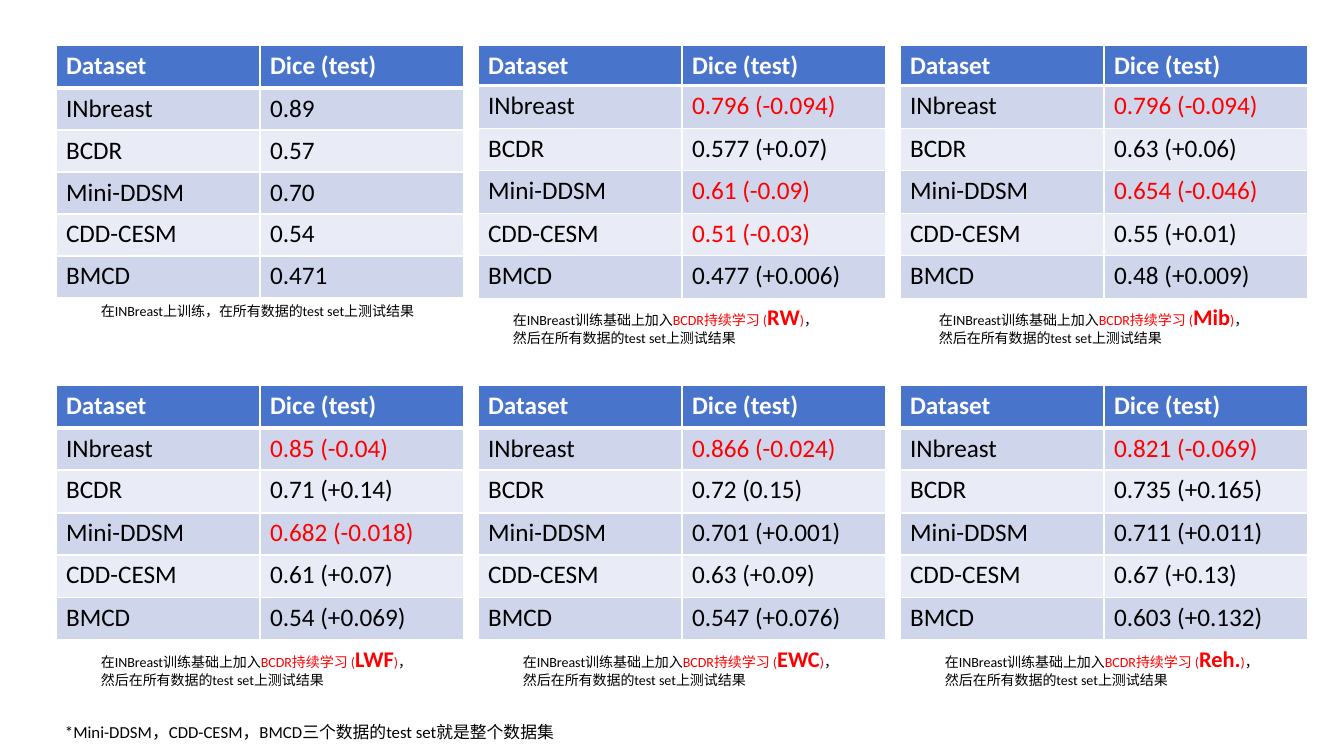
import pptx
import pptx.dml.color
import pptx.enum.text
import pptx.oxml.ns
import pptx.util
from lxml import etree

COLORS = {
    "header": "4874CB",
    "odd_row": "CFD6EC",
    "even_row": "E9EBF6",
    "white": "FFFFFF",
    "black": "000000",
    "red": "FF0000",
}
DATASETS = ["INbreast", "BCDR", "Mini-DDSM", "CDD-CESM", "BMCD"]

TABLE_STEP = 422
TABLE_LEFT = 56
COLUMN_WIDTH = 204
BASELINE_ROWS = [43, 42, 42, 42, 42, 42]
UPPER_ROWS = [40, 43, 42, 43, 42, 43]
LOWER_ROWS = [43, 42, 43, 42, 43, 42]

# Each panel: column, table top, row heights, method, caption left, scores
PANELS = [
    (0, 45, BASELINE_ROWS, None, 91,
     ["0.89", "0.57", "0.70", "0.54", "0.471"]),
    (1, 45, UPPER_ROWS, "RW", 503,
     ["0.796 (-0.094)", "0.577 (+0.07)", "0.61 (-0.09)", "0.51 (-0.03)", "0.477 (+0.006)"]),
    (2, 45, UPPER_ROWS, "Mib", 929,
     ["0.796 (-0.094)", "0.63 (+0.06)", "0.654 (-0.046)", "0.55 (+0.01)", "0.48 (+0.009)"]),
    (0, 385, LOWER_ROWS, "LWF", 91,
     ["0.85 (-0.04)", "0.71 (+0.14)", "0.682 (-0.018)", "0.61 (+0.07)", "0.54 (+0.069)"]),
    (1, 385, LOWER_ROWS, "EWC", 513,
     ["0.866 (-0.024)", "0.72 (0.15)", "0.701 (+0.001)", "0.63 (+0.09)", "0.547 (+0.076)"]),
    (2, 385, LOWER_ROWS, "Reh.", 935,
     ["0.821 (-0.069)", "0.735 (+0.165)", "0.711 (+0.011)", "0.67 (+0.13)", "0.603 (+0.132)"]),
]


def px(value):
    return pptx.util.Emu(round(value * 914400 / 100.8))


def rgb(name):
    return pptx.dml.color.RGBColor.from_string(COLORS[name])


def add_text(paragraph, text, size=10, color="black", bold=False, font="Calibri"):
    run = paragraph.add_run()
    run.text = text
    run.font.name = font
    run.font.size = pptx.util.Pt(size)
    run.font.bold = bold
    run.font.color.rgb = rgb(color)


class SlideBuilder:
    def __init__(self, slide, table_size=18):
        self.slide = slide
        self.table_size = table_size

    def border(self, cell, sides):
        """Draw white cell borders; sides maps an edge tag to points."""
        properties = cell._tc.get_or_add_tcPr()
        qn = pptx.oxml.ns.qn
        for index, (side, points) in enumerate(sides.items()):
            line = etree.Element(qn(f"a:{side}"), w=str(pptx.util.Pt(points)))
            fill = etree.SubElement(line, qn("a:solidFill"))
            etree.SubElement(fill, qn("a:srgbClr"), val=COLORS["white"])
            properties.insert(index, line)

    def table(self, left, top, row_heights, rows):
        frame = self.slide.shapes.add_table(
            len(rows), 2, px(left), px(top), px(2 * COLUMN_WIDTH), px(sum(row_heights)))
        table = frame.table
        for column in table.columns:
            column.width = px(COLUMN_WIDTH)
        for row_index, (height, values) in enumerate(zip(row_heights, rows)):
            table.rows[row_index].height = px(height)
            header = row_index == 0
            fill = "header" if header else "odd_row" if row_index % 2 else "even_row"
            for column_index, value in enumerate(values):
                cell = table.cell(row_index, column_index)
                cell.fill.solid()
                cell.fill.fore_color.rgb = rgb(fill)
                color = "white" if header else "red" if "(-" in value else "black"
                add_text(cell.text_frame.paragraphs[0], value,
                         size=self.table_size, color=color, bold=header)
                self.border(cell, {"lnL": 1, "lnR": 1,
                                   "lnT": 3 if row_index == 1 else 1,
                                   "lnB": 3 if header else 1})

    def text_box(self, left, top, width, height, runs):
        shape = self.slide.shapes.add_textbox(px(left), px(top), px(width), px(height))
        frame = shape.text_frame
        frame.word_wrap = True
        frame.auto_size = pptx.enum.text.MSO_AUTO_SIZE.SHAPE_TO_FIT_TEXT
        for text, style in runs:
            add_text(frame.paragraphs[0], text, **style)

    def caption(self, left, top, method):
        if method is None:
            runs = [("在INBreast上训练，在所有数据的test set上测试结果", {})]
        else:
            runs = [
                ("在INBreast训练基础上加入", {}),
                ("BCDR持续学习 (", {"color": "red"}),
                (method, {"color": "red", "size": 16, "bold": True}),
                (")", {"color": "red"}),
                ("，然后在所有数据的test set上测试结果", {}),
            ]
        self.text_box(left, top, 338, 54 if method else 27, runs)


def main():
    presentation = pptx.Presentation()
    presentation.slide_width = px(1344)
    presentation.slide_height = px(756)
    builder = SlideBuilder(presentation.slides.add_slide(presentation.slide_layouts[6]))

    # Result tables with their captions
    for column, top, row_heights, method, caption_left, scores in PANELS:
        rows = [("Dataset", "Dice (test)"), *zip(DATASETS, scores)]
        builder.table(TABLE_LEFT + column * TABLE_STEP, top, row_heights, rows)
        builder.caption(caption_left, top + sum(row_heights), method)

    # Footnote
    builder.text_box(55, 717, 765, 30, [
        ("*Mini-DDSM，CDD-CESM，BMCD三个数据的test set就是整个数据集", {"size": 12})])

    presentation.save("out.pptx")


if __name__ == "__main__":
    main()
